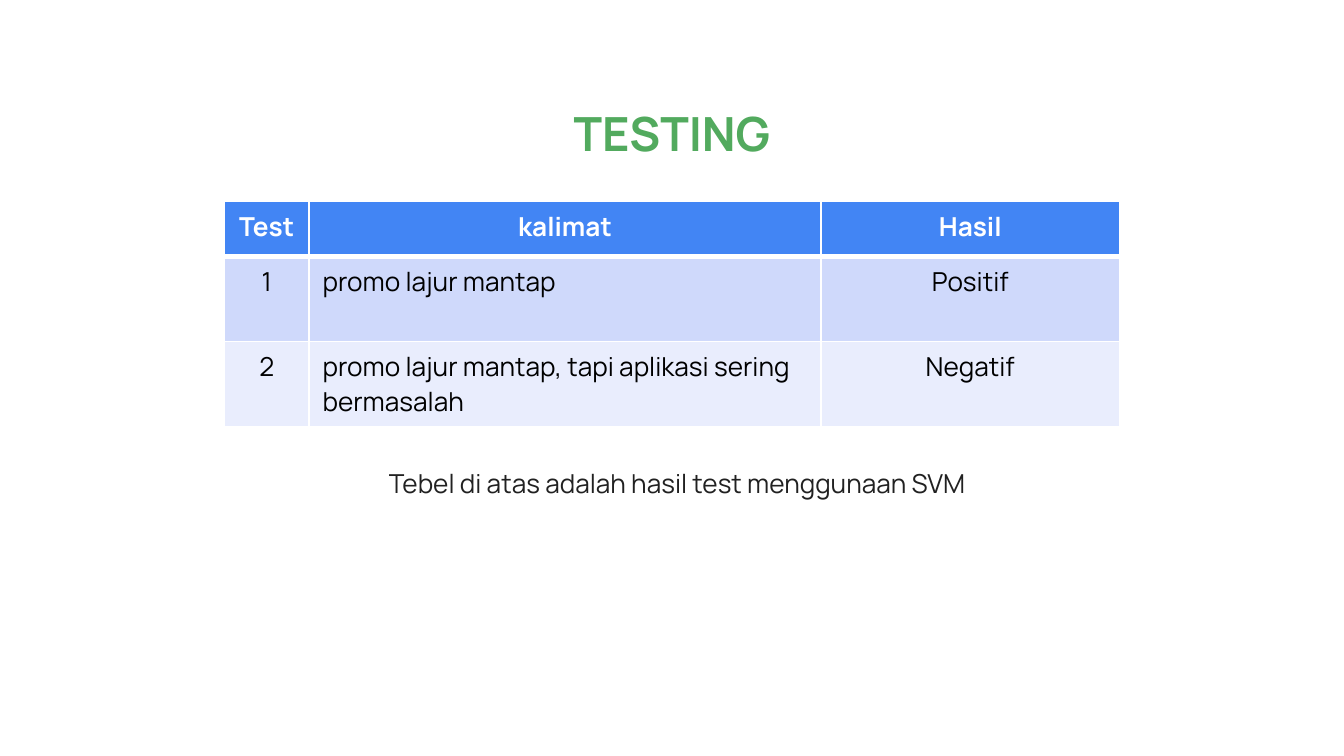
import pptx
import pptx.util
import pptx.dml.color
import pptx.enum.text
import pptx.oxml
import pptx.oxml.ns

Inches = pptx.util.Inches
Pt = pptx.util.Pt
CENTER = pptx.enum.text.PP_ALIGN.CENTER
LEFT = pptx.enum.text.PP_ALIGN.LEFT
ANCHOR = pptx.enum.text.MSO_ANCHOR

HEADING = "TESTING"
CAPTION = "Tebel di atas adalah hasil test menggunaan SVM "
RESULTS = [
    ("Test", "kalimat", "Hasil"),
    ("1", "promo lajur mantap", "Positif"),
    ("2", "promo lajur mantap, tapi aplikasi sering bermasalah", "Negatif"),
]
COLUMN_WIDTHS = (0.63, 3.81, 2.22)
COLUMN_ALIGNS = (CENTER, LEFT, CENTER)
ROW_HEIGHTS = (0.41, 0.63, 0.63)

THEME = {
    "font": "Manrope",
    "heading_size": 25.2,
    "text_size": 14,
    "heading": "52AA5E",
    "caption": "212121",
    "header_text": "FFFFFF",
    "cell_text": "000000",
    "header_fill": "4285F4",
    "row_fills": ("CFD9FB", "E9EDFD"),
    "border": "FFFFFF",
}


def rgb(code):
    return pptx.dml.color.RGBColor.from_string(code)


def write(frame, text, color, size=THEME["text_size"], bold=False,
          align=CENTER, spacing=None, indent=None):
    paragraph = frame.paragraphs[0]
    paragraph.text = text
    paragraph.alignment = align
    paragraph.space_before = Pt(0)
    if spacing:
        paragraph.line_spacing = spacing
    if indent is not None:
        properties = paragraph._p.get_or_add_pPr()
        properties.set("marL", str(Inches(indent)))
        properties.set("indent", "0")
        properties.append(pptx.oxml.parse_xml(
            f"<a:buNone {pptx.oxml.ns.nsdecls('a')}/>"))
    font = paragraph.runs[0].font
    font.name = THEME["font"]
    font.size = Pt(size)
    font.bold = bold
    font.color.rgb = rgb(color)


def place(placeholder, left, top, width, height, anchor):
    placeholder.left, placeholder.top = Inches(left), Inches(top)
    placeholder.width, placeholder.height = Inches(width), Inches(height)
    frame = placeholder.text_frame
    frame.word_wrap = True
    frame.auto_size = pptx.enum.text.MSO_AUTO_SIZE.NONE
    frame.vertical_anchor = anchor
    frame.margin_left = frame.margin_right = Inches(0.1)
    frame.margin_top = frame.margin_bottom = Inches(0.1)
    return frame


def fill_cell(cell, color, bottom_width):
    edges = {"L": 1, "R": 1, "T": 1, "B": bottom_width}
    properties = cell._tc.get_or_add_tcPr()
    for side, width in edges.items():
        properties.append(pptx.oxml.parse_xml(
            f"<a:ln{side} {pptx.oxml.ns.nsdecls('a')} w=\"{Pt(width)}\">"
            f"<a:solidFill><a:srgbClr val=\"{THEME['border']}\"/></a:solidFill>"
            f"</a:ln{side}>"))
    cell.fill.solid()
    cell.fill.fore_color.rgb = rgb(color)


def add_results(slide):
    table = slide.shapes.add_table(
        len(RESULTS), len(COLUMN_WIDTHS), Inches(1.67), Inches(1.5),
        Inches(sum(COLUMN_WIDTHS)), Inches(sum(ROW_HEIGHTS))).table
    for column, width in zip(table.columns, COLUMN_WIDTHS):
        column.width = Inches(width)
    for row, height in zip(table.rows, ROW_HEIGHTS):
        row.height = Inches(height)
    for r, result in enumerate(RESULTS):
        header = r == 0
        fill = THEME["header_fill"] if header else THEME["row_fills"][(r - 1) % 2]
        color = THEME["header_text" if header else "cell_text"]
        for c, text in enumerate(result):
            cell = table.cell(r, c)
            fill_cell(cell, fill, 3 if header else 1)
            write(cell.text_frame, text, color, bold=header,
                  align=CENTER if header else COLUMN_ALIGNS[c])


def main():
    deck = pptx.Presentation()
    deck.slide_width = Inches(10)
    deck.slide_height = deck.slide_width * 9 // 16
    slide = deck.slides.add_slide(deck.slide_layouts[1])
    heading = place(slide.shapes.title, 2, 0.67, 6, 0.63, ANCHOR.MIDDLE)
    write(heading, HEADING, THEME["heading"], size=THEME["heading_size"], bold=True)
    caption = place(slide.placeholders[1], 0.34, 3.34, 9.32, 1.46, ANCHOR.TOP)
    write(caption, CAPTION, THEME["caption"], spacing=1.15, indent=0.12)
    add_results(slide)
    deck.save("out.pptx")


if __name__ == "__main__":
    main()
